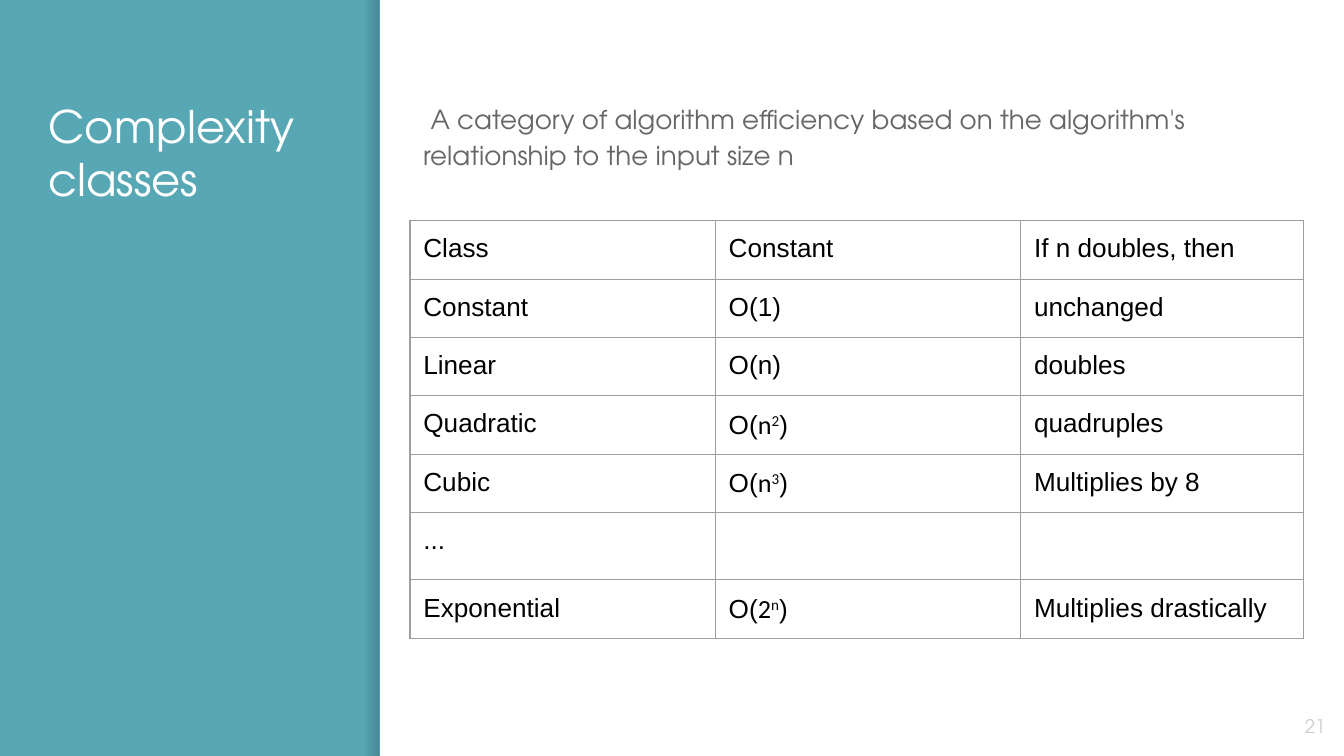
from pptx import Presentation
from pptx.dml.color import RGBColor
from pptx.enum.shapes import MSO_SHAPE
from pptx.enum.text import MSO_ANCHOR, PP_ALIGN
from pptx.oxml import parse_xml
from pptx.oxml.ns import nsdecls, qn
from pptx.util import Pt

RECT = MSO_SHAPE.RECTANGLE
TOP, MIDDLE = MSO_ANCHOR.TOP, MSO_ANCHOR.MIDDLE
LEFT, RIGHT = PP_ALIGN.LEFT, PP_ALIGN.RIGHT

THEME = {
    "teal": "57A7B5", "white": "FFFFFF", "shade": "000014", "grid": "9E9E9E",
    "head": {"name": "TeX Gyre Adventor", "size": 24, "color": "FFFFFF"},
    "body": {"name": "TeX Gyre Adventor", "size": 14, "color": "666666"},
    "page": {"name": "TeX Gyre Adventor", "size": 10, "color": "CCCCCC"},
    "cell": {"name": "Arial", "size": 14, "color": "000000"},
    "math": {"name": "Calibri", "size": 14, "color": "000000"},
}

TEXTS = [
    ("Complexity classes", "head", (18.9, 45.5, 161, 313), {}, {}),
    ("A category of algorithm efficiency based on the algorithm's "
     "relationship to the input size n", "body", (219.6, 45.5, 478.8, 313),
     {}, {"line_spacing": 1.15}),
    ("21", "page", (673.9, 373.7, 43.2, 31),
     {"vertical_anchor": MIDDLE}, {"alignment": RIGHT}),
]
INDENT = {"body": 4}

ROWS = [
    ("Class", "Constant", "If n doubles, then"),
    ("Constant", "O(1)", "unchanged"),
    ("Linear", "O(n)", "doubles"),
    ("Quadratic", ("n", "2"), "quadruples"),
    ("Cubic", ("n", "3"), "Multiplies by 8"),
    ("...", "", ""),
    ("Exponential", ("2", "n"), "Multiplies drastically"),
]
WIDTHS = [163.6, 163.6, 151.6]
HEIGHTS = [30, 30, 30, 31.3, 31.3, 34.8, 31.3]
GRID_AT = (219.6, 118.3)
PAD = 7.2
SPLIT = 203.5
WIDE, HIGH = 720, 405


def put(obj, values):
    for key, value in values.items():
        setattr(obj, key, value)


def add_run(para, text, style, base=0):
    run = para.add_run()
    run.text = text
    look = THEME[style]
    put(run.font, {"name": look["name"], "size": Pt(look["size"])})
    run.font.color.rgb = RGBColor.from_string(look["color"])
    if base:
        run.font._element.set("baseline", str(base))


def add_rect(slide, *box):
    rect = slide.shapes.add_shape(RECT, *map(Pt, box))
    rect.shadow.inherit = False
    rect.line.fill.background()
    return rect


def add_panel(slide):
    back = slide.background.fill
    back.solid()
    back.fore_color.rgb = RGBColor.from_string(THEME["teal"])
    edge = add_rect(slide, SPLIT - 9, 0, 9, HIGH)
    edge.fill.gradient()
    edge.fill.gradient_angle = 0
    for stop, alpha in zip(edge.fill.gradient_stops, (0, 20000)):
        stop.color.rgb = RGBColor.from_string(THEME["shade"])
    tints = edge._element.spPr.iter(qn("a:srgbClr"))
    for tint, alpha in zip(list(tints), (0, 20000)):
        tint.append(parse_xml(f'<a:alpha {nsdecls("a")} val="{alpha}"/>'))
    page = add_rect(slide, SPLIT, 0, WIDE - SPLIT, HIGH)
    page.fill.solid()
    page.fill.fore_color.rgb = RGBColor.from_string(THEME["white"])


def add_text(slide, text, style, box, frame, para):
    area = slide.shapes.add_textbox(*map(Pt, box)).text_frame
    pads = {f"margin_{side}": Pt(PAD)
            for side in ("left", "right", "top", "bottom")}
    put(area, {"word_wrap": True, "vertical_anchor": TOP, **pads, **frame})
    line = area.paragraphs[0]
    put(line, {"alignment": LEFT, **para})
    if style in INDENT:
        line._p.get_or_add_pPr().set("indent", str(Pt(INDENT[style])))
    add_run(line, text, style)


def add_edges(cell):
    props = cell._tc.get_or_add_tcPr()
    for at, side in enumerate(("lnL", "lnR", "lnT", "lnB")):
        props.insert(at, parse_xml(
            f'<a:{side} {nsdecls("a")} w="{Pt(0.75)}"><a:solidFill>'
            f'<a:srgbClr val="{THEME["grid"]}"/></a:solidFill></a:{side}>'))


def add_cell(cell, value):
    put(cell, {f"margin_{side}": Pt(PAD)
               for side in ("left", "right", "top", "bottom")})
    cell.fill.background()
    add_edges(cell)
    para = cell.text_frame.paragraphs[0]
    if isinstance(value, tuple):
        root, power = value
        add_run(para, "O(", "cell")
        add_run(para, root, "math")
        add_run(para, power, "math", 30000)
        add_run(para, ")", "cell")
    elif value:
        add_run(para, value, "cell")


def add_grid(slide):
    size = (*GRID_AT, sum(WIDTHS), sum(HEIGHTS))
    grid = slide.shapes.add_table(
        len(ROWS), len(WIDTHS), *map(Pt, size)).table
    put(grid, {"first_row": False, "horz_banding": False})
    for col, width in zip(grid.columns, WIDTHS):
        col.width = Pt(width)
    for row, height, values in zip(grid.rows, HEIGHTS, ROWS):
        row.height = Pt(height)
        for cell, value in zip(row.cells, values):
            add_cell(cell, value)


def main():
    deck = Presentation()
    put(deck, {"slide_width": Pt(WIDE), "slide_height": Pt(HIGH)})
    slide = deck.slides.add_slide(deck.slide_layouts[6])
    add_panel(slide)
    for item in TEXTS:
        add_text(slide, *item)
    add_grid(slide)
    deck.save("out.pptx")


if __name__ == "__main__":
    main()
